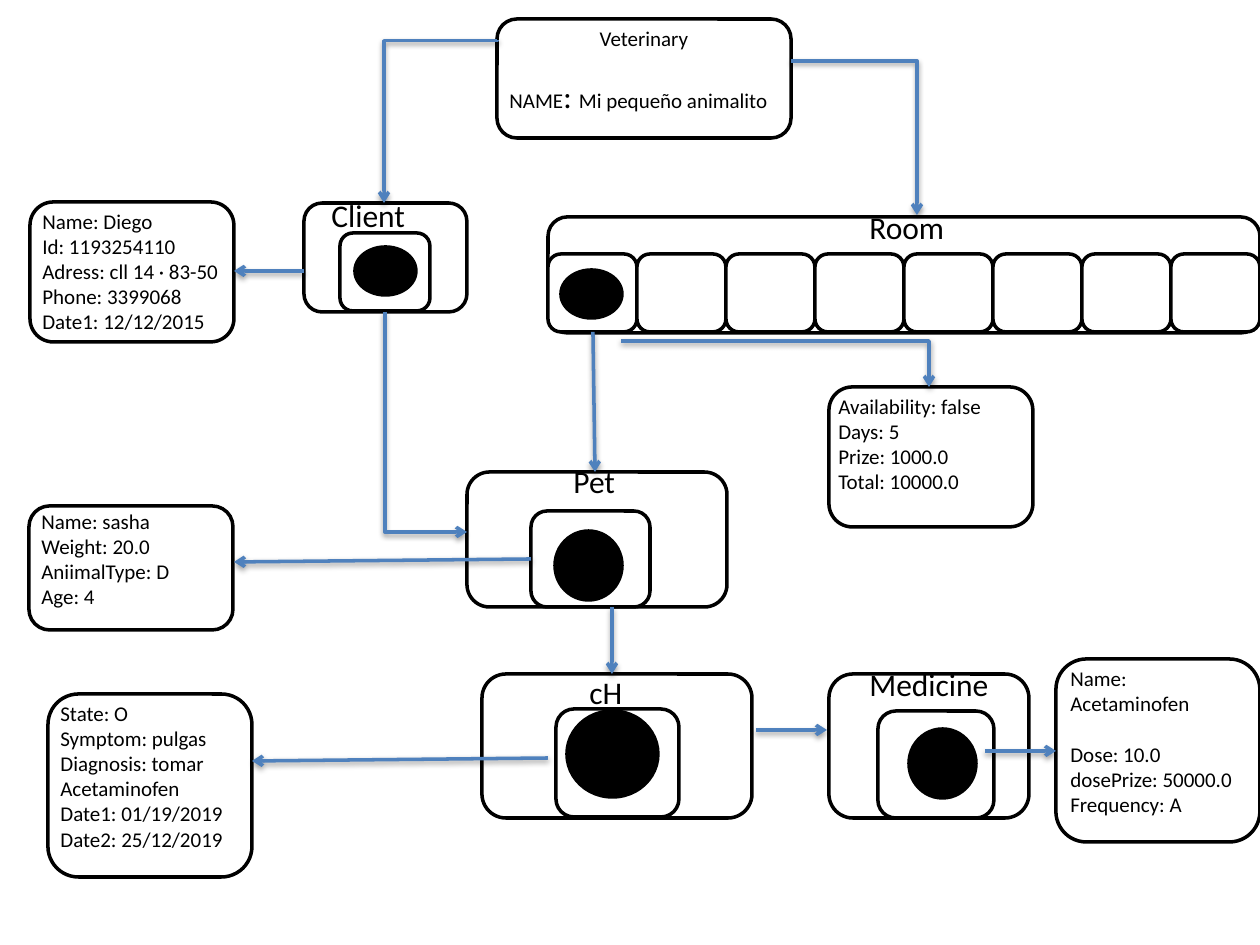
import dataclasses

import lxml.etree
import pptx
import pptx.dml.color
import pptx.enum.shapes
import pptx.enum.text
import pptx.oxml.ns
import pptx.util

PIXEL = 914400 // 126
SHAPE = pptx.enum.shapes.MSO_SHAPE
CONNECTOR = pptx.enum.shapes.MSO_CONNECTOR
qn = pptx.oxml.ns.qn


@dataclasses.dataclass
class Theme:
    """Colours, type sizes and line width of the diagram."""
    ink: object = pptx.dml.color.RGBColor(0, 0, 0)
    paper: object = pptx.dml.color.RGBColor(255, 255, 255)
    arrow: object = pptx.dml.color.RGBColor(0x4F, 0x81, 0xBD)
    font: str = "Calibri"
    body: object = pptx.util.Pt(12)
    heading: object = pptx.util.Pt(18)
    line: object = pptx.util.Pt(2)


theme = Theme()
deck = pptx.Presentation()
deck.slide_width = 1260 * PIXEL
deck.slide_height = 945 * PIXEL
page = deck.slides.add_slide(deck.slide_layouts[6])


def add_text(frame, lines, size):
    """Place a text box with one paragraph per line and return its paragraphs."""
    box = page.shapes.add_textbox(*[value * PIXEL for value in frame])
    box.text_frame.word_wrap = True
    box.text_frame.auto_size = pptx.enum.text.MSO_AUTO_SIZE.SHAPE_TO_FIT_TEXT
    box.text_frame.text = "\n".join(lines)
    for para in box.text_frame.paragraphs:
        para.font.name = theme.font
        para.font.size = size
        para.font.color.rgb = theme.ink
    return box.text_frame.paragraphs


def add_arrow(kind, left, top, right, bottom):
    """Draw a connector with an open arrowhead at its end and return it."""
    ends = [value * PIXEL for value in (left, top, right, bottom)]
    arrow = page.shapes.add_connector(kind, *ends)
    arrow.line.color.rgb = theme.arrow
    arrow.line.width = theme.line
    lxml.etree.SubElement(arrow.line._get_or_add_ln(), qn("a:tailEnd"), type="arrow")
    return arrow


outer_boxes = [
    (497, 19, 294, 119),     # Veterinary
    (304, 203, 163, 109),    # Client
    (548, 217, 712, 116),    # Room
    (467, 472, 260, 135),    # Pet
    (482, 674, 270, 144),    # cH
    (829, 674, 200, 144),    # Medicine
]
detail_boxes = [
    (30, 202, 204, 140),     # Client
    (829, 387, 204, 140),    # Room
    (29, 506, 204, 124),     # Pet
    (48, 694, 204, 183),     # cH
    (1056, 659, 204, 183),   # Medicine
]
room_cells = [(548 + 89 * index, 254, 89, 78) for index in range(8)]
inner_boxes = [
    (340, 233, 90, 78),      # Client
    (531, 511, 119, 96),     # Pet
    (556, 709, 123, 108),    # cH
    (878, 711, 116, 107),    # Medicine
]
dots = [
    (561, 270, 61, 48),      # Room
    (355, 247, 61, 48),      # Client
    (555, 531, 67, 69),      # Pet
    (567, 711, 91, 86),      # cH
    (909, 729, 67, 69),      # Medicine
]
boxes = outer_boxes + detail_boxes + room_cells + inner_boxes
for kind, fill, frames in (
    (SHAPE.ROUNDED_RECTANGLE, theme.paper, boxes),
    (SHAPE.OVAL, theme.ink, dots),
):
    for frame in frames:
        shape = page.shapes.add_shape(kind, *[value * PIXEL for value in frame])
        shape.shadow.inherit = False
        shape.fill.solid()
        shape.fill.fore_color.rgb = fill
        shape.line.color.rgb = theme.ink
        shape.line.width = theme.line

straight_arrows = [
    (304, 271, 234, 271),    # Client to its details
    (593, 332, 595, 472),    # Room to Pet
    (531, 559, 234, 562),    # Pet to its details
    (612, 607, 612, 674),    # Pet to cH
    (548, 758, 252, 761),    # cH to its details
    (756, 730, 827, 730),    # cH to Medicine
    (985, 751, 1056, 751),   # Medicine to its details
]
for ends in straight_arrows:
    add_arrow(CONNECTOR.STRAIGHT, *ends)

# Frame before rotation, rotation in degrees, mirrored, bend (None: one corner)
elbow_arrows = [
    ((791, 61, 917, 215), 0, False, None),       # Veterinary to Room
    ((359, 65, 522, 178), 90, False, 500),       # Veterinary to Client
    ((316, 381, 536, 463), 270, True, 100000),   # Client to Pet
    ((621, 341, 929, 387), 0, False, None),      # Room to its details
]
for ends, rotation, mirrored, bend in elbow_arrows:
    arrow = add_arrow(CONNECTOR.ELBOW, *ends)
    transform = arrow._element.spPr.find(qn("a:xfrm"))
    geometry = arrow._element.spPr.find(qn("a:prstGeom"))
    if rotation:
        transform.set("rot", str(rotation * 60000))
    if mirrored:
        transform.set("flipH", "1")
    if bend is None:
        geometry.set("prst", "bentConnector2")
    else:
        lxml.etree.SubElement(
            geometry.find(qn("a:avLst")), qn("a:gd"), name="adj1", fmla=f"val {bend}"
        )

headings = [
    ("Client", (319, 190, 149, 50)),
    ("Room", (857, 202, 165, 50)),
    ("Pet", (561, 456, 147, 50)),
    ("cH", (577, 667, 159, 50)),
    ("Medicine", (857, 659, 166, 50)),
]
for heading, frame in headings:
    add_text(frame, [heading], theme.heading)

details = [
    ((30, 202, 204, 140), ["Name: Diego", "Id: 1193254110", "Adress: cll 14 · 83-50",
                           "Phone: 3399068", "Date1: 12/12/2015"]),
    ((826, 387, 204, 115), ["Availability: false", "Days: 5", "Prize: 1000.0",
                            "Total: 10000.0"]),
    ((29, 502, 204, 115), ["Name: sasha", "Weight: 20.0", "AniimalType: D", "Age: 4"]),
    ((48, 694, 217, 165), ["State: O", "Symptom: pulgas", "Diagnosis: tomar Acetaminofen",
                           "Date1: 01/19/2019", "Date2: 25/12/2019"]),
]
for frame, lines in details:
    add_text(frame, lines, theme.body)

medicine = add_text(
    (1058, 659, 202, 190),
    ["Name: Acetaminofen", "Dose: 10.0", "dosePrize: 50000.0", "Frequency: A"],
    theme.body,
)
medicine[1].space_before = pptx.util.Pt(14.65)

title = add_text((497, 19, 294, 38), ["Veterinary"], theme.body)
title[0].alignment = pptx.enum.text.PP_ALIGN.CENTER
name = add_text((497, 71, 294, 50), [""], theme.body)[0]
for words, size in (
    ("NAME", theme.body), (": ", theme.heading), ("Mi pequeño animalito", theme.body)
):
    span = name.add_run()
    span.text = words
    span.font.size = size

deck.save("out.pptx")
